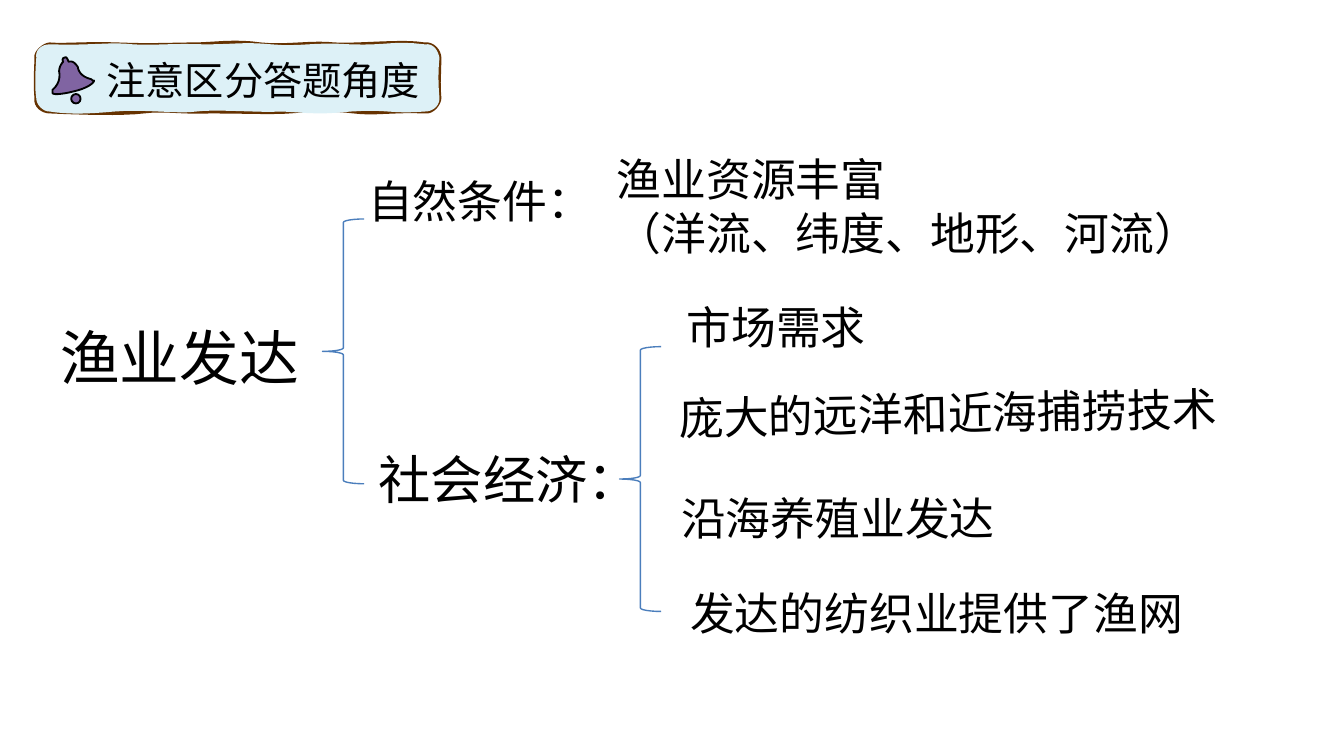
from dataclasses import dataclass

import pptx
import pptx.dml.color
import pptx.enum.shapes
import pptx.enum.text
import pptx.util

PX = 9144  # EMU per px, at 100 px to the inch
WIDE = 1000 * PX
STEPS = 8
NOTO = "Noto Sans CJK JP"
COLOR = {"ink": "000000", "sky": "DDF1F7", "wood": "663200",
         "bell": "8064A2", "brace": "4B7EBC"}
ALIGN = pptx.enum.text.PP_ALIGN
KIND = pptx.enum.shapes.MSO_SHAPE


@dataclass(frozen=True)
class Box:
    left: int
    top: int
    width: int
    height: int

    def emu(self) -> tuple:
        return tuple(pptx.util.Emu(v * PX) for v in
                     (self.left, self.top, self.width, self.height))


@dataclass(frozen=True)
class Label:
    text: str
    box: Box
    size: int = 24
    font: str = "Calibri"
    align: ALIGN = ALIGN.LEFT
    wrap: bool = True
    turn: int = 0


# Each curve is a start point, then two controls and an end point per segment.
EDGE = [
    (27, 43), (26, 39), (33, 33), (37, 33), (49, 34), (64, 32), (88, 33),
    (112, 34), (128, 33), (143, 33), (159, 33), (174, 30), (194, 33),
    (213, 35), (232, 31), (249, 33), (267, 34), (300, 30), (316, 33),
    (322, 32), (327, 38), (327, 43), (327, 57), (326, 59), (327, 73),
    (327, 77), (322, 84), (316, 83), (291, 82), (279, 85), (263, 83),
    (248, 81), (228, 82), (216, 83), (203, 84), (179, 83), (157, 83),
    (135, 84), (123, 81), (107, 83), (91, 85), (60, 84), (37, 83),
    (32, 83), (26, 79), (27, 73), (26, 59), (27, 50), (27, 43)]
PANEL = [
    (27, 43), (26, 37), (31, 33), (37, 33), (67, 34), (84, 31), (99, 33),
    (114, 34), (128, 32), (152, 33), (176, 33), (180, 31), (202, 33),
    (224, 35), (233, 31), (261, 33), (288, 34), (292, 30), (316, 33),
    (323, 32), (326, 38), (327, 43), (326, 53), (326, 62), (327, 73),
    (327, 79), (322, 83), (316, 83), (290, 85), (288, 81), (261, 83),
    (233, 86), (221, 83), (208, 83), (195, 84), (159, 81), (146, 83),
    (133, 85), (106, 81), (85, 83), (63, 85), (50, 85), (37, 83),
    (32, 83), (27, 78), (27, 73), (26, 67), (26, 57), (27, 43)]
BELL = [
    (55, 68), (47, 70), (39, 71), (39, 69), (39, 68), (39, 68), (39, 67),
    (46, 61), (44, 54), (44, 53), (44, 51), (45, 48), (47, 46),
    (46, 44), (47, 43), (48, 43), (49, 42), (50, 43), (51, 46),
    (54, 45), (56, 47), (58, 50), (58, 51), (59, 57), (68, 59),
    (69, 60), (69, 60), (70, 60), (70, 62), (64, 66), (55, 68)]

TITLE = Label("注意区分答题角度", Box(68, 37, 256, 45), 21, NOTO,
              ALIGN.CENTER, False)
LABELS = [
    Label("渔业发达", Box(35, 234, 323, 64), 32),
    Label("自然条件：", Box(264, 124, 244, 50)),
    Label("社会经济：", Box(272, 328, 220, 57), 28),
    Label("渔业资源丰富\n（洋流、纬度、地形、河流）", Box(449, 108, 551, 91)),
    Label("庞大的远洋和近海捕捞技术", Box(491, 282, 424, 50), 24, "Arial",
          ALIGN.RIGHT, False, 359),
    Label("市场需求", Box(499, 218, 155, 50), 24, NOTO, ALIGN.RIGHT, False),
    Label("沿海养殖业发达", Box(494, 360, 256, 50), 24, NOTO,
          ALIGN.RIGHT, False),
    Label("发达的纺织业提供了渔网", Box(500, 431, 390, 50), 24, NOTO,
          ALIGN.RIGHT, False),
]
BRACES = [Box(240, 163, 31, 197), Box(461, 258, 31, 197)]


def rgb(name: str) -> pptx.dml.color.RGBColor:
    return pptx.dml.color.RGBColor.from_string(COLOR[name])


def paint(shape, fill: str = "", line: str = "", width: float = 1) -> None:
    shape.shadow.inherit = False
    if fill:
        shape.fill.solid()
        shape.fill.fore_color.rgb = rgb(fill)
    else:
        shape.fill.background()
    if line:
        shape.line.color.rgb = rgb(line)
        shape.line.width = pptx.util.Pt(width)
    else:
        shape.line.fill.background()


def trace(curve: list) -> list:
    """Turn a chain of cubic curves into EMU points."""
    points = [curve[0]]
    for i in range(0, len(curve) - 1, 3):
        a, b, c, d = curve[i:i + 4]
        for step in range(1, STEPS + 1):
            t = step / STEPS
            u = 1 - t
            points.append(tuple(
                u**3 * p + 3 * u * u * t * q + 3 * u * t * t * r + t**3 * s
                for p, q, r, s in zip(a, b, c, d)))
    return [(round(x * PX), round(y * PX)) for x, y in points]


def draw(shapes, curve: list, **look) -> None:
    start, *rest = trace(curve)
    pen = shapes.build_freeform(*start)
    pen.add_line_segments(rest, close=True)
    paint(pen.convert_to_shape(), **look)


def write(shape, text: str, *, size: int, font: str, align: ALIGN,
          wrap: bool) -> None:
    frame = shape.text_frame
    frame.text = text
    frame.word_wrap = wrap
    frame.auto_size = pptx.enum.text.MSO_AUTO_SIZE.SHAPE_TO_FIT_TEXT
    frame.vertical_anchor = pptx.enum.text.MSO_ANCHOR.TOP
    for para in frame.paragraphs:
        para.alignment = align
        for run in para.runs:
            run.font.size = pptx.util.Pt(size)
            run.font.name = font
            run.font.color.rgb = rgb("ink")


def place(shape, label: Label) -> None:
    shape.left, shape.top, shape.width, shape.height = label.box.emu()
    shape.rotation = label.turn
    write(shape, label.text, size=label.size, font=label.font,
          align=label.align, wrap=label.wrap)


def main() -> None:
    deck = pptx.Presentation()
    deck.slide_width = pptx.util.Emu(WIDE)
    deck.slide_height = pptx.util.Emu(WIDE * 9 // 16)
    slide = deck.slides.add_slide(deck.slide_layouts[5])
    shapes = slide.shapes
    title = shapes.title

    draw(shapes, EDGE, line="wood", width=2)
    draw(shapes, PANEL, fill="sky")
    title.element.getparent().append(title.element)  # bring to front
    place(title, TITLE)
    draw(shapes, BELL, fill="bell", line="ink")
    clapper = shapes.add_shape(KIND.OVAL, *Box(53, 70, 7, 7).emu())
    paint(clapper, fill="bell", line="ink")

    for label in LABELS:
        place(shapes.add_textbox(*label.box.emu()), label)
    for box in BRACES:
        brace = shapes.add_shape(KIND.LEFT_BRACE, *box.emu())
        paint(brace, line="brace", width=0.75)
    deck.save("out.pptx")


if __name__ == "__main__":
    main()
